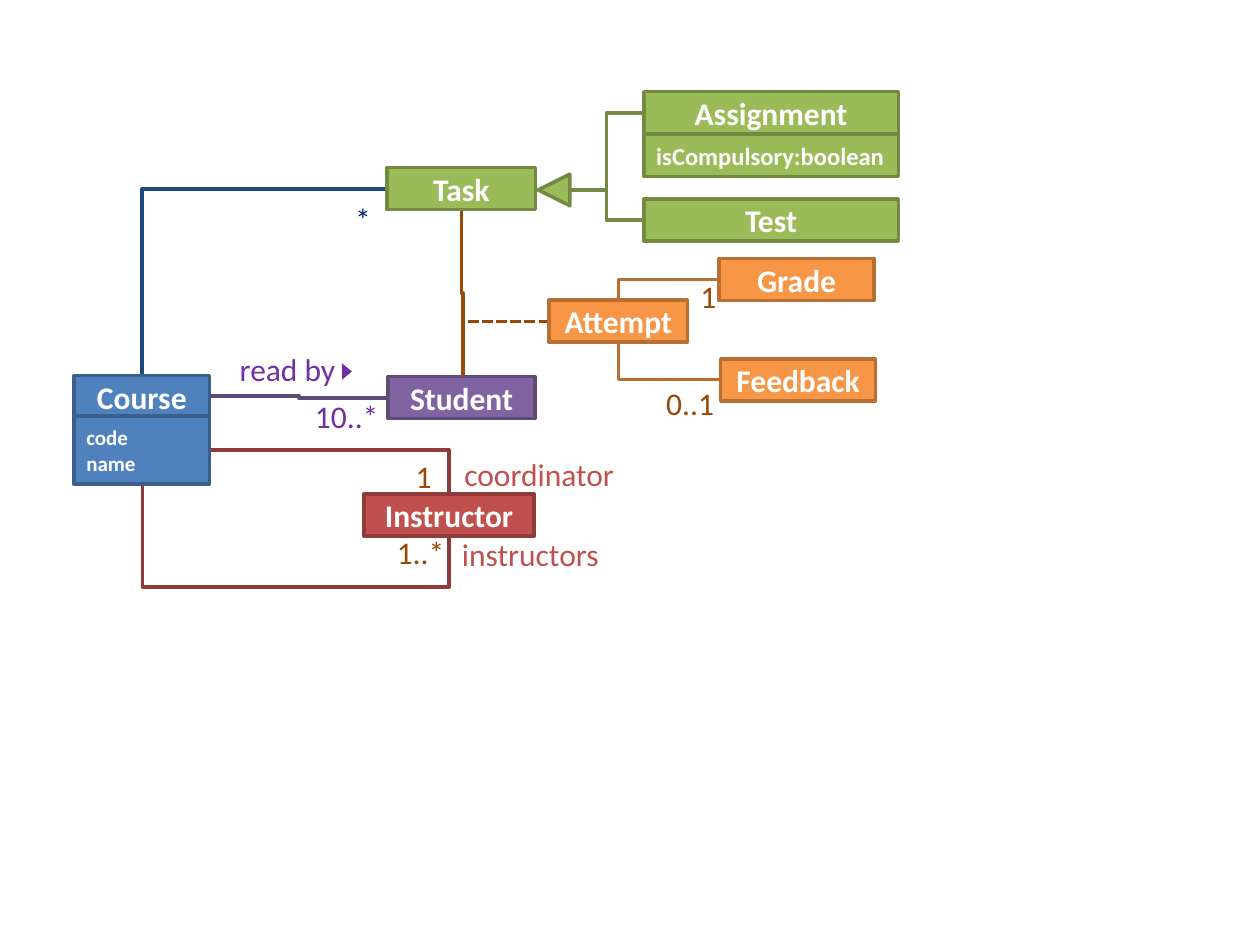
"""Build a UML class diagram of a course, its tasks and its people."""
from dataclasses import dataclass

from lxml.etree import SubElement
from pptx import Presentation
from pptx.dml.color import RGBColor
from pptx.enum.dml import MSO_LINE
from pptx.enum.shapes import MSO_CONNECTOR, MSO_SHAPE
from pptx.enum.text import MSO_ANCHOR, PP_ALIGN
from pptx.oxml.ns import qn
from pptx.util import Cm, Pt


@dataclass(frozen=True)
class Theme:
    font: str = "Calibri"
    name_size: int = 18
    member_size: int = 14
    small_size: int = 12
    outline: float = 2
    thick: float = 2.25
    white: str = "FFFFFF"
    blue: tuple = ("4F81BD", "3A5F8C")
    green: tuple = ("9BBB59", "738A42")
    purple: tuple = ("8064A2", "5F4A78")
    red: tuple = ("C0504D", "8E3B39")
    orange: tuple = ("F79646", "B76F34")
    navy: str = "1F497D"
    dark_navy: str = "002060"
    dark_purple: str = "604A7B"
    violet: str = "7030A0"
    brown: str = "984807"


def write(frame, lines, size, color, align, bold=False):
    frame.word_wrap = True
    for number, line in enumerate(lines):
        paragraph = frame.add_paragraph() if number else frame.paragraphs[0]
        paragraph.alignment = align
        run = paragraph.add_run()
        run.text = line
        run.font.name = theme.font
        run.font.size = Pt(size)
        run.font.bold = bold
        run.font.color.rgb = RGBColor.from_string(color)


def connect(kind, start, end, color, width=2):
    link = slide.shapes.add_connector(
        kind, Cm(start[0]), Cm(start[1]), Cm(end[0]), Cm(end[1]))
    link.line.color.rgb = RGBColor.from_string(color)
    link.line.width = Pt(width)
    SubElement(link._element.spPr, qn("a:effectLst"))
    return link


theme = Theme()
deck = Presentation()
deck.slide_width, deck.slide_height = Cm(25.4), Cm(19.05)
slide = deck.slides.add_slide(deck.slide_layouts[6])

corners = [
    ((7.8, 3.81), (2.87, 7.57), theme.navy, theme.thick),
    ((14.5, 5.64), (12.47, 6.05), theme.orange[1], theme.outline),
    ((14.53, 7.65), (12.47, 6.9), theme.orange[1], theme.outline),
    ((4.23, 9.07), (9.05, 9.96), theme.red[1], theme.outline),
]
for start, end, color, width in corners:
    corner = connect(MSO_CONNECTOR.ELBOW, start, end, color, width)
    corner._element.spPr.find(qn("a:prstGeom")).set("prst", "bentConnector2")

steps = [
    ((4.23, 7.99), (7.82, 8.02), theme.dark_purple, theme.thick),
    ((11.48, 3.83), (12.98, 4.44), theme.green[1], theme.outline),
    ((11.48, 3.83), (12.98, 2.28), theme.green[1], theme.outline),
]
for start, end, color, width in steps:
    connect(MSO_CONNECTOR.ELBOW, start, end, color, width)

upright_steps = [
    ((2.87, 9.75), (9.05, 10.81), theme.red[1], 196800),
    ((9.3, 4.23), (9.33, 7.59), theme.brown, 50000),
]
for (x1, y1), (x2, y2), color, bend in upright_steps:
    middle_x, middle_y = (x1 + x2) / 2, (y1 + y2) / 2
    half_width, half_height = (y2 - y1) / 2, (x2 - x1) / 2
    upright = connect(MSO_CONNECTOR.ELBOW,
                      (middle_x + half_width, middle_y - half_height),
                      (middle_x - half_width, middle_y + half_height), color)
    properties = upright._element.spPr
    properties.find(qn("a:xfrm")).set("rot", str(270 * 60000))
    guides = properties.find(qn("a:prstGeom")).get_or_add_avLst()
    SubElement(guides, qn("a:gd"), name="adj1", fmla=f"val {bend}")

association = connect(MSO_CONNECTOR.STRAIGHT, (11.07, 6.48), (9.32, 6.48), theme.brown)
association.line.dash_style = MSO_LINE.SQUARE_DOT

row = 0.85
name_style = (theme.name_size, PP_ALIGN.CENTER)
classes = [
    (["Course"], 1.49, 7.57, 2.74, row, theme.blue, name_style),
    (["code", "name"], 1.49, 8.39, 2.74, 1.37, theme.blue,
     (theme.small_size, PP_ALIGN.LEFT)),
    (["Task"], 7.8, 3.38, 3, row, theme.green, name_style),
    (["Student"], 7.82, 7.59, 2.97, row, theme.purple, name_style),
    (["Instructor"], 7.34, 9.96, 3.43, row, theme.red, name_style),
    (["Attempt"], 11.07, 6.05, 2.79, row, theme.orange, name_style),
    (["Assignment"], 12.98, 1.85, 5.13, row, theme.green, name_style),
    (["isCompulsory:boolean"], 12.98, 2.71, 5.13, row, theme.green,
     (theme.member_size, PP_ALIGN.LEFT)),
    (["Test"], 12.98, 4.01, 5.13, row, theme.green, name_style),
    (["Grade"], 14.5, 5.21, 3.12, row, theme.orange, name_style),
    (["Feedback"], 14.53, 7.24, 3.12, row, theme.orange, name_style),
]
for lines, left, top, width, height, (fill, edge), (size, align) in classes:
    box = slide.shapes.add_shape(
        MSO_SHAPE.RECTANGLE, Cm(left), Cm(top), Cm(width), Cm(height))
    box.shadow.inherit = False
    box.fill.solid()
    box.fill.fore_color.rgb = RGBColor.from_string(fill)
    box.line.color.rgb = RGBColor.from_string(edge)
    box.line.width = Pt(theme.outline)
    box.text_frame.vertical_anchor = MSO_ANCHOR.MIDDLE
    if align == PP_ALIGN.LEFT:
        box.text_frame.margin_right = 0
    write(box.text_frame, lines, size, theme.white, align, bold=True)

labels = [
    ("*", 6.91, 3.91, 0.71, theme.dark_navy, PP_ALIGN.LEFT),
    ("0..1", 13.18, 7.62, 1.85, theme.brown, PP_ALIGN.LEFT),
    ("1..*", 7.75, 10.62, 1.5, theme.brown, PP_ALIGN.LEFT),
    ("10..*", 6.1, 7.87, 1.8, theme.violet, PP_ALIGN.LEFT),
    ("1", 13.87, 5.46, 0.94, theme.brown, PP_ALIGN.LEFT),
    ("1", 8.13, 9.09, 1.5, theme.brown, PP_ALIGN.LEFT),
    ("instructors", 8.92, 10.67, 3.4, theme.red[0], PP_ALIGN.RIGHT),
    ("coordinator", 8.92, 9.04, 3.71, theme.red[0], PP_ALIGN.RIGHT),
    ("read by", 3.89, 6.93, 3.12, theme.violet, PP_ALIGN.RIGHT),
]
for wording, left, top, width, color, align in labels:
    label = slide.shapes.add_textbox(Cm(left), Cm(top), Cm(width), Cm(1.02))
    write(label.text_frame, [wording], theme.name_size, color, align)

triangles = [
    (10.85, 3.51, 0.64, 0.64, 270, theme.green[0], theme.green[1]),
    (6.83, 7.39, 0.33, 0.2, 90, theme.violet, None),
]
for left, top, width, height, turn, fill, edge in triangles:
    triangle = slide.shapes.add_shape(
        MSO_SHAPE.ISOSCELES_TRIANGLE, Cm(left), Cm(top), Cm(width), Cm(height))
    triangle.rotation = turn
    triangle.shadow.inherit = False
    triangle.fill.solid()
    triangle.fill.fore_color.rgb = RGBColor.from_string(fill)
    if edge:
        triangle.line.color.rgb = RGBColor.from_string(edge)
        triangle.line.width = Pt(theme.outline)
    else:
        triangle.line.fill.background()

deck.save("out.pptx")
